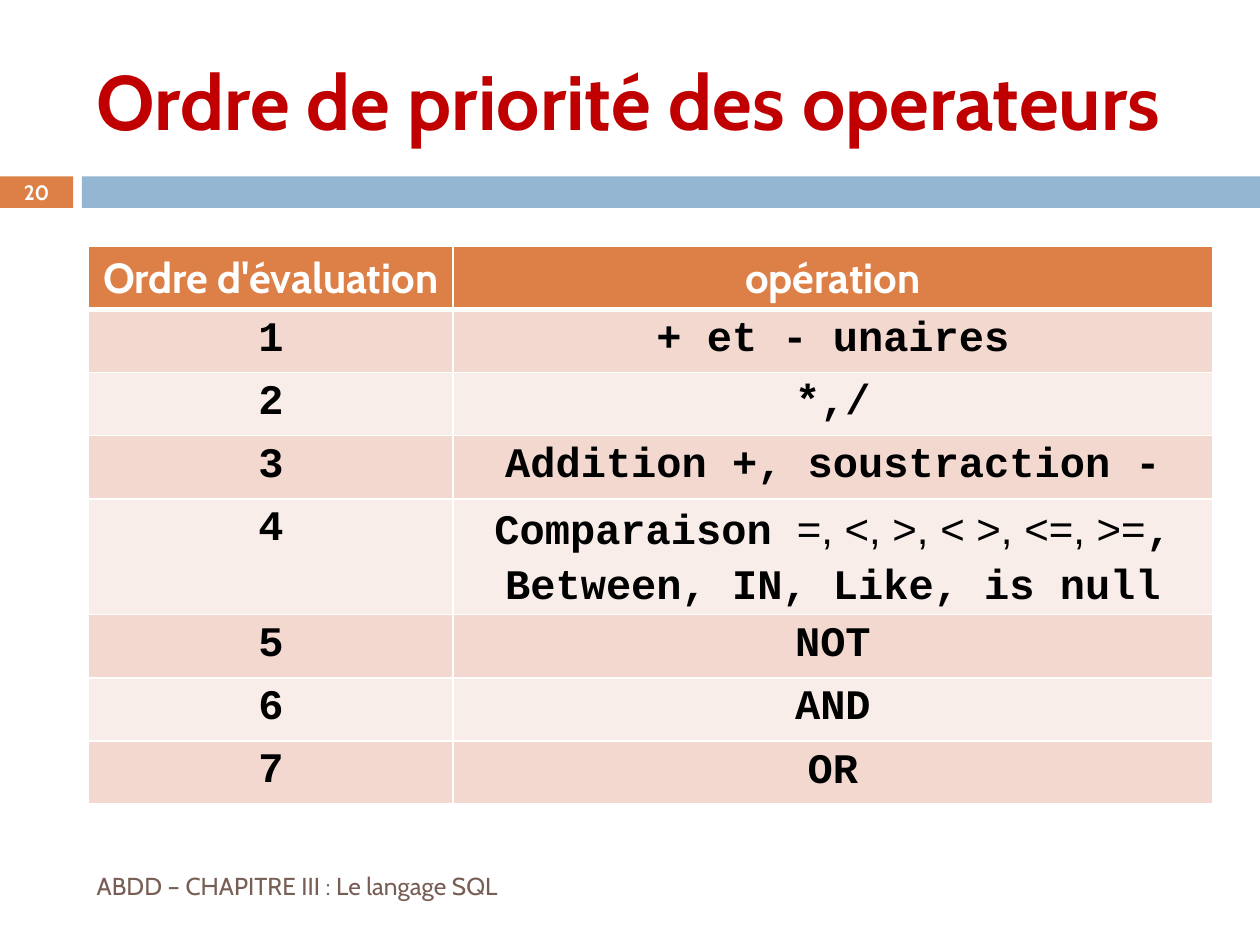
from lxml import etree
from pptx import Presentation
from pptx import util as u
from pptx.dml.color import RGBColor
from pptx.enum import shapes, text
from pptx.oxml.ns import qn

Pt = u.Pt
COLORS = {
    "orange": "DD8047", "blue": "94B6D2", "red": "C00000", "brown": "775F55",
    "white": "FFFFFF", "black": "000000", "band_dark": "F2D8CF", "band_light": "F9EDE9",
}
FORMATS = {
    "title": {"name": "Cabin", "size": Pt(44), "bold": True, "color": "red"},
    "number": {"name": "Cabin", "size": Pt(11.9), "bold": True, "color": "white"},
    "footer": {"name": "Cabin", "size": Pt(14), "bold": False, "color": "brown"},
    "header": {"name": "Cabin", "size": Pt(24), "bold": True, "color": "white"},
    "code": {"name": "Courier New", "size": Pt(24), "bold": True, "color": "black"},
    "symbols": {"name": "Arial", "size": Pt(24), "bold": False, "color": "black"},
}
LEFT, CENTER = text.PP_ALIGN.LEFT, text.PP_ALIGN.CENTER

# left, top, width, height, colour
BARS = [(0, 100.8, 41.8, 18, "orange"), (46.8, 100.8, 673.2, 18, "blue")]
# wording, format, alignment, (left, top, width, height)
TEXTS = [
    ("Ordre de priorité\u00a0des operateurs", "title", LEFT, (48.2, 18, 642.2, 77.8)),
    ("20", "number", CENTER, (0, 100, 41.8, 19.4)),
    ("ABDD – CHAPITRE III : Le langage SQL", "footer", LEFT, (48.2, 491.8, 649.4, 28.8)),
]
HEADERS = ["Ordre d'évaluation", "opération"]
# operations by rank, each a list of (wording, format)
OPERATIONS = [
    [("+ et - unaires", "code")],
    [("*,/", "code")],
    [("Addition +, soustraction -", "code")],
    [("Comparaison ", "code"), ("=, <, >, < >, <=, >=", "symbols"),
     (", Between, IN, Like, is null", "code")],
    [("NOT", "code")],
    [("AND", "code")],
    [("OR", "code")],
]
TABLE_LEFT, TABLE_TOP, ROW_HEIGHT = 50.7, 140.9, 29.5
COLUMN_WIDTHS = [208.1, 434.2]


def rgb(name):
    return RGBColor.from_string(COLORS[name])


def write(frame, spans, align):
    para = frame.paragraphs[0]
    para.alignment = align
    for wording, style in spans:
        span = para.add_run()
        span.text = wording
        for key, value in FORMATS[style].items():
            if key == "color":
                span.font.color.rgb = rgb(value)
            else:
                setattr(span.font, key, value)
    return para


def set_borders(cell, bottom):
    """Draw white lines round a cell; they must precede its fill in the XML."""
    properties = cell._tc.get_or_add_tcPr()
    for index, (side, width) in enumerate([("L", 1), ("R", 1), ("T", 1), ("B", bottom)]):
        line = etree.Element(qn(f"a:ln{side}"), w=str(Pt(width)))
        fill = etree.SubElement(line, qn("a:solidFill"))
        etree.SubElement(fill, qn("a:srgbClr"), val=COLORS["white"])
        properties.insert(index, line)


def fill_cell(cell, spans, color, bottom=1):
    cell.fill.solid()
    cell.fill.fore_color.rgb = rgb(color)
    set_borders(cell, bottom)
    return write(cell.text_frame, spans, CENTER)


def add_table(page):
    rows = len(OPERATIONS) + 1
    table = page.shapes.add_table(
        rows, len(HEADERS), Pt(TABLE_LEFT), Pt(TABLE_TOP),
        Pt(sum(COLUMN_WIDTHS)), Pt(rows * ROW_HEIGHT)).table
    for column, width in zip(table.columns, COLUMN_WIDTHS):
        column.width = Pt(width)
    for index, heading in enumerate(HEADERS):
        fill_cell(table.cell(0, index), [(heading, "header")], "orange", bottom=3)
    for rank, spans in enumerate(OPERATIONS, start=1):
        band = "band_dark" if rank % 2 else "band_light"
        fill_cell(table.cell(rank, 0), [(str(rank), "code")], band)
        operation = table.cell(rank, 1)
        fill_cell(operation, spans, band).line_spacing = 1.15
        operation.margin_left = operation.margin_right = Pt(5)
        operation.margin_top = operation.margin_bottom = 0


def main():
    deck = Presentation()
    deck.slide_width, deck.slide_height = Pt(720), Pt(540)
    page = deck.slides.add_slide(deck.slide_layouts[6])

    for *place, color in BARS:
        bar = page.shapes.add_shape(shapes.MSO_SHAPE.RECTANGLE, *map(Pt, place))
        bar.shadow.inherit = False
        bar.fill.solid()
        bar.fill.fore_color.rgb = rgb(color)
        bar.line.fill.background()

    for wording, style, align, place in TEXTS:
        frame = page.shapes.add_textbox(*map(Pt, place)).text_frame
        frame.word_wrap = True
        frame.vertical_anchor = text.MSO_ANCHOR.MIDDLE
        write(frame, [(wording, style)], align)

    add_table(page)
    deck.save("out.pptx")


if __name__ == "__main__":
    main()
